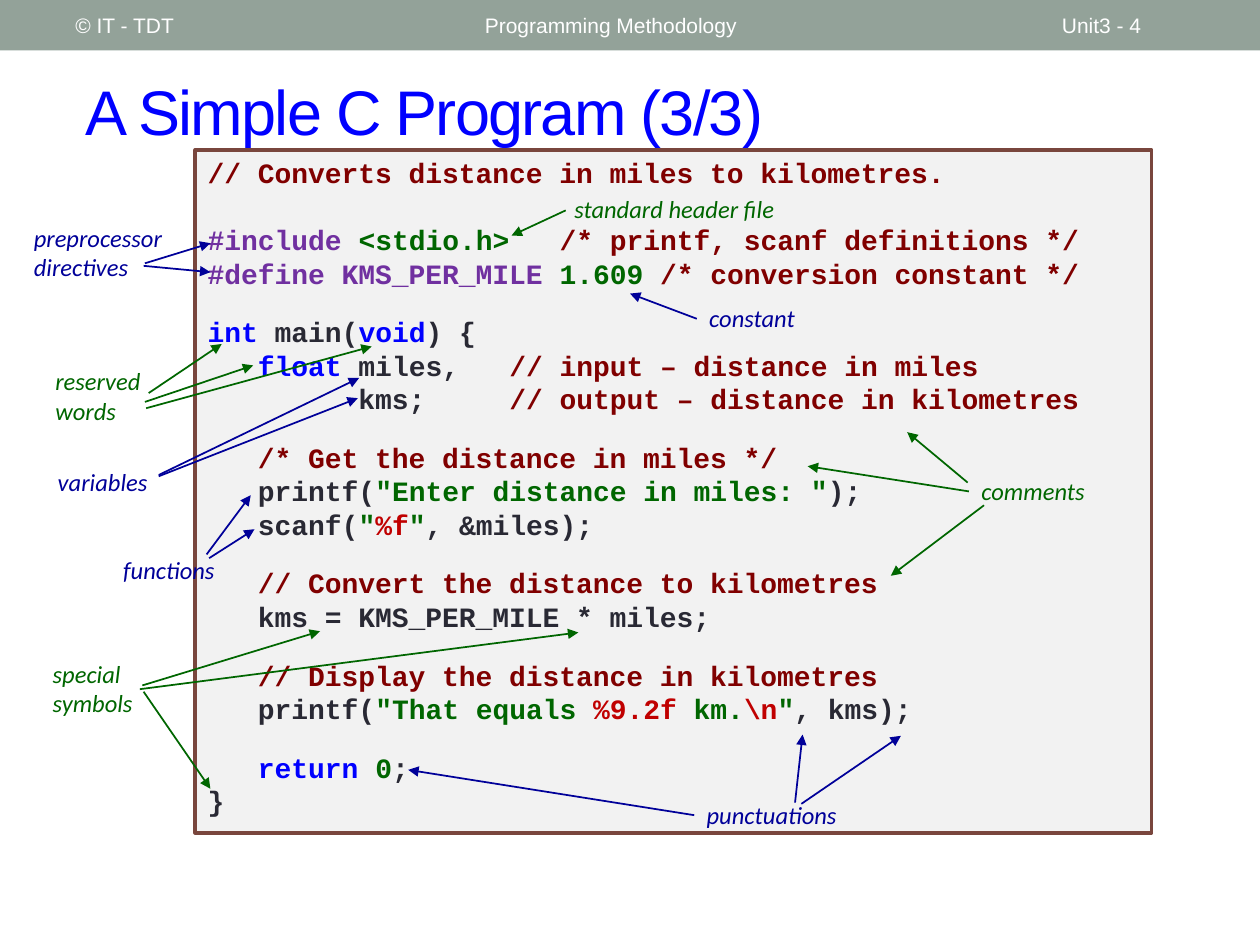
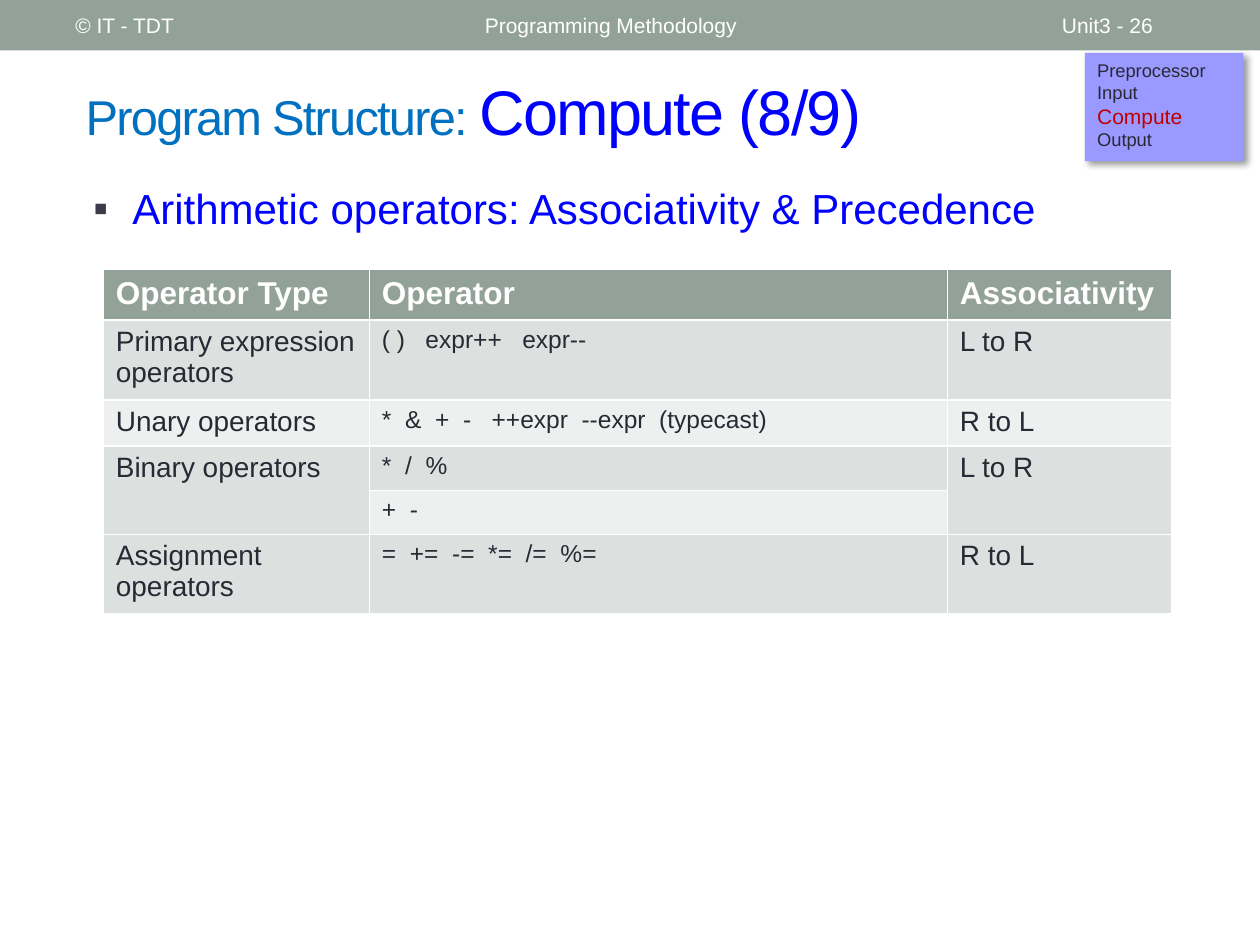
from lxml import etree
from pptx import Presentation
from pptx.dml.color import RGBColor
from pptx.enum.shapes import MSO_CONNECTOR as CONN, MSO_SHAPE as SHAPE
from pptx.enum.text import MSO_ANCHOR as ANCHOR, MSO_AUTO_SIZE as AUTO, PP_ALIGN as ALIGN
from pptx.oxml import parse_xml
from pptx.oxml.ns import nsdecls, qn
from pptx.util import Inches, Pt

# Grid: 100 columns by 75 rows of square cells
COLS, ROWS = 100, 75
CELL = Inches(10) / COLS

SAGE, WHITE, INK = "93A299", "FFFFFF", "292934"
BLUE, SKY, NAVY = "0000FF", "0070C0", "000099"
GREEN, MAROON, PURPLE, RED = "006600", "800000", "7030A0", "C00000"
CODE_PT, LINE_PT = 16, 19.1

# Code lines: space before in points, then (text, colour) runs
CODE = [
    (0, [("// Converts distance in miles to kilometres.", MAROON)]),
    (19.1, [("#include ", PURPLE), ("<stdio.h>   ", GREEN),
            ("/* printf, scanf definitions */", MAROON)]),
    (0, [("#define KMS_PER_MILE ", PURPLE), ("1.609 ", GREEN),
         ("/* conversion constant */", MAROON)]),
    (14.4, [("int", BLUE), (" main(", INK), ("void", BLUE), (") {", INK)]),
    (0, [("   float", BLUE), (" miles,   ", INK), ("// input – distance in miles", MAROON)]),
    (0, [("         kms;     ", INK), ("// output – distance in kilometres", MAROON)]),
    (14.4, [("   /* Get the distance in miles */", MAROON)]),
    (0, [("   printf(", INK), ('"Enter distance in miles: "', GREEN), (");", INK)]),
    (0, [("   scanf(", INK), ('"', GREEN), ("%f", RED), ('"', GREEN), (", &miles);", INK)]),
    (14.4, [("   // Convert the distance to kilometres", MAROON)]),
    (0, [("   kms = KMS_PER_MILE * miles;", INK)]),
    (14.4, [("   // Display the distance in kilometres", MAROON)]),
    (0, [("   printf(", INK), ('"That equals ', GREEN), ("%9.2f ", RED), ("km.", GREEN),
         ("\\n", RED), ('"', GREEN), (", kms);", INK)]),
    (14.4, [("   return ", BLUE), ("0", GREEN), (";", INK)]),
    (0, [("}", INK)]),
]

# Callouts: text, colour, label box, arrows as (start from label corner, run)
CALLOUTS = [
    ("preprocessor directives", NAVY, (1.7, 17.2, 13.4, 5.7),
     [((9.8, 3.7), (5.2, -1.6)), ((9.7, 3.9), (5.3, 0.5))]),
    ("standard header file", GREEN, (44.6, 14.9, 19.1, 3.5), [((0.3, 1.8), (-4.3, 2))]),
    ("comments", GREEN, (76.9, 37.3, 10.8, 3.4),
     [((-0.1, 1), (-4.8, -4)), ((0, 1.7), (-12.8, -2)), ((1.2, 2.8), (-7.4, 5.6))]),
    ("constant", NAVY, (55.3, 23.6, 10.8, 3.4), [((0, 1.7), (-5.3, -2))]),
    ("reserved words", GREEN, (3.4, 28.6, 10.8, 5.7),
     [((8.4, 2.6), (5.8, -3.9)), ((8.2, 3.8), (17.9, -4.9)), ((8.1, 3.3), (8.6, -2.9))]),
    ("variables", NAVY, (3.6, 36.6, 10.8, 3.4),
     [((9, 1.1), (15.9, -7.7)), ((9, 1.2), (15.8, -6.2))]),
    ("functions", NAVY, (8.8, 43.6, 10.3, 3.4),
     [((7.6, 0.4), (3.5, -4.7)), ((7.8, 0.7), (3.6, -2.3))]),
    ("special symbols", GREEN, (3.2, 51.8, 9.7, 5.7),
     [((8.1, 2.6), (14.1, -4.3)), ((7.9, 2.9), (34.8, -4.5)), ((8.2, 3.1), (5.3, 7.7))]),
    ("punctuations", NAVY, (55.1, 63, 13.5, 3.4),
     [((8.5, 0.8), (7.9, -5.4)), ((8, 0.7), (0.6, -5.4)), ((0, 1.7), (-22.7, -3.6))]),
]

OPERATORS = [
    ("Operator Type", "Operator", "Associativity"),
    ("Primary expression operators", "( )   expr++   expr--", "L to R"),
    ("Unary operators", "*  &  +  -   ++expr  --expr  (typecast)", "R to L"),
    ("Binary operators", "*  /  %", "L to R"),
    ("", "+  -", ""),
    ("Assignment operators", "=  +=  -=  *=  /=  %=", "R to L"),
]


def rgb(color):
    return RGBColor.from_string(color)


def grid(*cells):
    return [round(c * CELL) for c in cells]


def move(sp, box):
    sp.left, sp.top, sp.width, sp.height = grid(*box)


def style(font, size, color, name="Arial", bold=False, italic=False):
    font.size, font.name, font.bold, font.italic = Pt(size), name, bold, italic
    font.color.rgb = rgb(color)


def add_run(p, text, size, color, **kw):
    r = p.add_run()
    r.text = text
    style(r.font, size, color, **kw)
    return r


def add_label(shapes, box, text, size, color, anchor=ANCHOR.TOP, **kw):
    sp = shapes.add_textbox(*grid(*box))
    tf = sp.text_frame
    tf.word_wrap, tf.vertical_anchor = True, anchor
    add_run(tf.paragraphs[0], text, size, color, **kw)
    return sp


def add_rect(slide, box, fill, line=None, width=0):
    sp = slide.shapes.add_shape(SHAPE.RECTANGLE, *grid(*box))
    sp.shadow.inherit = False
    sp.fill.solid()
    sp.fill.fore_color.rgb = rgb(fill)
    if line:
        sp.line.color.rgb, sp.line.width = rgb(line), Pt(width)
    else:
        sp.line.fill.background()
    tf = sp.text_frame
    tf.word_wrap, tf.vertical_anchor = True, ANCHOR.TOP
    return sp


def add_paragraph(tf, first):
    p = tf.paragraphs[0] if first else tf.add_paragraph()
    p.alignment = ALIGN.LEFT
    return p


def header_band(slide, box, page):
    x, y, w, h = box
    add_rect(slide, box, SAGE)
    for left, width, text in ((5, 31.7, "© IT - TDT"), (37.5, 45, "Programming Methodology"),
                              (83.3, 11.7, f"Unit3 - {page}")):
        add_label(slide.shapes, (x + left, y + 0.2, width, h - 0.4), text, 12, WHITE,
                  anchor=ANCHOR.MIDDLE)


def slide_title(slide, box, runs):
    move(slide.shapes.title, box)
    tf = slide.shapes.title.text_frame
    tf.auto_size, tf.vertical_anchor = AUTO.NONE, ANCHOR.MIDDLE
    p = add_paragraph(tf, True)
    for text, size, color in runs:
        r = add_run(p, text, size, color)
        r.font._element.set("spc", "-100")


def new_slide(prs, layout, page, title_runs):
    slide = prs.slides.add_slide(prs.slide_layouts[layout])
    header_band(slide, (0, 0, COLS, 4), page)
    slide_title(slide, (5.8, 5, 89.2, 7.5), title_runs)
    return slide


def code_panel(slide, box):
    tf = add_rect(slide, box, "F2F2F2", "79463D", 2.08).text_frame
    for i, (gap, runs) in enumerate(CODE):
        p = add_paragraph(tf, i == 0)
        p.space_before, p.line_spacing = Pt(gap), Pt(LINE_PT)
        for text, color in runs:
            add_run(p, text, CODE_PT, color, name="Courier New", bold=True)


def callout(slide, box, text, color, arrows):
    shapes = slide.shapes.add_group_shape().shapes
    label = add_label(shapes, box, text, 14, color, name="Calibri", italic=True)
    for (x, y), (dx, dy) in arrows:
        x0, y0 = box[0] + x, box[1] + y
        c = shapes.add_connector(CONN.STRAIGHT, *grid(x0, y0, x0 + dx, y0 + dy))
        if (x, y) == (0, box[3] / 2):
            c.begin_connect(label, 1)
        c.line.color.rgb, c.line.width = rgb(color), Pt(1)
        etree.SubElement(c.line._get_or_add_ln(), qn("a:tailEnd"), type="triangle")
        etree.SubElement(c._element.spPr, qn("a:effectLst"))


def step_tag(slide, box, steps, current):
    sp = add_rect(slide, box, "9999FF")
    effects = sp._element.spPr.find(qn("a:effectLst"))
    effects.append(parse_xml(
        f'<a:outerShdw {nsdecls("a")} blurRad="{Pt(4)}" dist="{Pt(3)}" dir="2700000" '
        'algn="tl" rotWithShape="0"><a:srgbClr val="000000"><a:alpha val="40000"/>'
        '</a:srgbClr></a:outerShdw>'))
    for i, step in enumerate(steps):
        p = add_paragraph(sp.text_frame, i == 0)
        size, color = (12, RED) if step == current else (10.5, INK)
        add_run(p, step, size, color)


def bullet_line(slide, box, text):
    body = slide.placeholders[1]
    move(body, box)
    body.text_frame.auto_size = AUTO.NONE
    p = add_paragraph(body.text_frame, True)
    p.space_before = Pt(0)
    pPr = p._p.get_or_add_pPr()
    pPr.set("marL", str(Inches(0.31)))
    pPr.set("indent", str(-Inches(0.31)))
    color = etree.SubElement(pPr, qn("a:buClr"))
    etree.SubElement(color, qn("a:srgbClr"), val="3B3B4B")
    etree.SubElement(pPr, qn("a:buFont"), typeface="Arial")
    etree.SubElement(pPr, qn("a:buChar"), char="▪")
    add_run(p, text, 24, BLUE)


def operator_table(slide, box):
    table = slide.shapes.add_table(len(OPERATORS), 3, *grid(*box)).table
    for col, share in zip(table.columns, (0.249, 0.541, 0.21)):
        col.width = round(box[2] * share * CELL)
    for row, height in zip(table.rows, (3.8, 6, 3.5, 3.5, 3.5, 6)):
        row.height = round(height * CELL)
    for c in (0, 2):
        table.cell(3, c).merge(table.cell(4, c))
    for i, texts in enumerate(OPERATORS):
        for j, text in enumerate(texts):
            cell = table.cell(i, j)
            cell.fill.solid()
            cell.fill.fore_color.rgb = rgb(SAGE if i == 0 else "DCE0DE" if i % 2 else "EEF0EF")
            if not text:
                continue
            size = 18 if i == 0 else 14 if j == 1 else 16
            add_run(cell.text_frame.paragraphs[0], text, size,
                    INK if i else WHITE, bold=i == 0)


def program_slide(prs):
    slide = new_slide(prs, 5, 4, [("A Simple C Program (3/3)", 36, BLUE)])
    code_panel(slide, (15.5, 11.9, 75.9, 54.2))
    for text, color, box, arrows in CALLOUTS:
        callout(slide, box, text, color, arrows)


def operators_slide(prs):
    slide = new_slide(prs, 1, 26, [("Program Structure: ", 27.9, SKY),
                                   ("Compute (8/9)", 36, BLUE)])
    step_tag(slide, (86.1, 4.2, 12.6, 8.6),
             ("Preprocessor", "Input", "Compute", "Output"), "Compute")
    bullet_line(slide, (6.4, 14, 90, 6.7), "Arithmetic operators: Associativity & Precedence")
    operator_table(slide, (8.2, 21.4, 84.8, 26.3))


def main():
    prs = Presentation()
    prs.slide_width, prs.slide_height = grid(COLS, ROWS)
    program_slide(prs)
    operators_slide(prs)
    prs.save("out.pptx")


if __name__ == "__main__":
    main()
